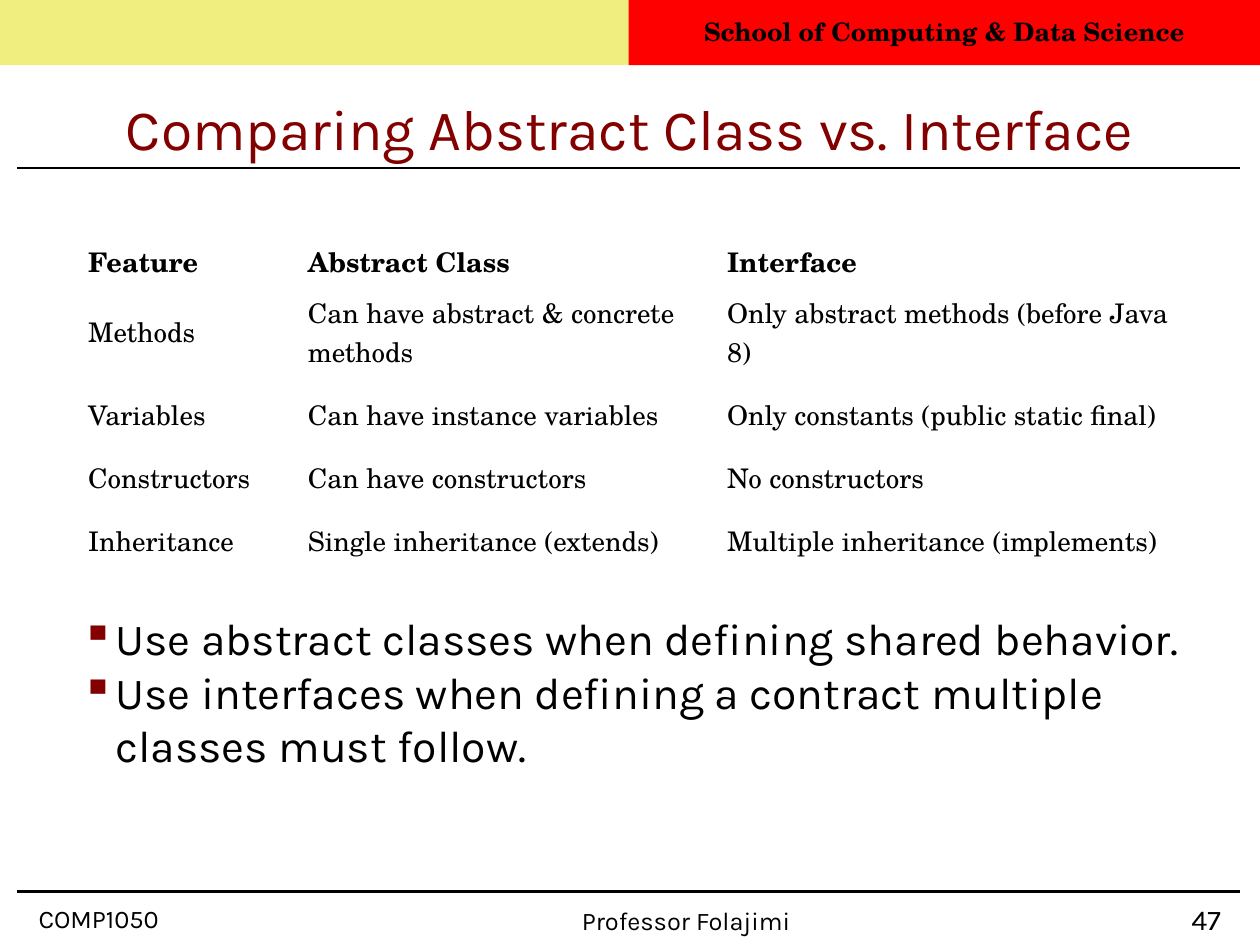
from lxml.etree import SubElement
from pptx import Presentation
from pptx.dml.color import RGBColor
from pptx.enum.shapes import MSO_CONNECTOR, MSO_SHAPE
from pptx.enum.text import MSO_ANCHOR as Anchor, PP_ALIGN as Align
from pptx.oxml.ns import qn
from pptx.util import Cm, Pt

SANS, SERIF = "Karla", "TeX Gyre Schola"
BLACK, MAROON, RED, YELLOW = "000000", "820000", "FF0000", "E3DE00"

FEATURES = [
    ("Feature", "Abstract Class", "Interface"),
    ("Methods", "Can have abstract & concrete methods", "Only abstract methods (before Java 8)"),
    ("Variables", "Can have instance variables", "Only constants (public static final)"),
    ("Constructors", "Can have constructors", "No constructors"),
    ("Inheritance", "Single inheritance (extends)", "Multiple inheritance (implements)"),
]
ADVICE = [
    "Use abstract classes when defining shared behavior.",
    "Use interfaces when defining a contract multiple classes must follow.",
]


def rgb(color):
    return RGBColor.from_string(color)


class Deck:
    def __init__(self, width, height):
        self.prs = Presentation()
        self.prs.slide_width, self.prs.slide_height = Cm(width), Cm(height)
        self.s = self.prs.slides.add_slide(self.prs.slide_layouts[5])

    def add_text(self, p, text, size, font=SANS, color=BLACK, bold=False,
                 align=Align.LEFT, spacing=1.0):
        p.alignment, p.line_spacing = align, spacing
        r = p.add_run()
        r.text = text
        f = r.font
        f.name, f.size, f.bold = font, Pt(size), bold
        f.color.rgb = rgb(color)

    def frame(self, tf, top=0, anchor=Anchor.TOP):
        """Prepare a wrapping text frame with no side insets."""
        tf.word_wrap, tf.vertical_anchor = True, anchor
        tf.margin_left = tf.margin_right = tf.margin_bottom = 0
        tf.margin_top = Cm(top)
        return tf

    def title(self, text, x, y, w, h):
        sp = self.s.shapes.title
        sp.left, sp.top, sp.width, sp.height = Cm(x), Cm(y), Cm(w), Cm(h)
        tf = self.frame(sp.text_frame, anchor=Anchor.MIDDLE)
        self.add_text(tf.paragraphs[0], text, 36, color=MAROON,
                      align=Align.CENTER, spacing=1.17)

    def band(self, x, w, h, color, text="", opacity=100):
        sp = self.s.shapes.add_shape(MSO_SHAPE.RECTANGLE, Cm(x), 0, Cm(w), Cm(h))
        sp.shadow.inherit = False
        sp.line.fill.background()
        sp.fill.solid()
        sp.fill.fore_color.rgb = rgb(color)
        if opacity < 100:
            clr = sp._element.spPr.find(".//" + qn("a:srgbClr"))
            SubElement(clr, qn("a:alpha"), val=str(opacity * 1000))
        if text:
            sp.text_frame.vertical_anchor = Anchor.MIDDLE
            self.add_text(sp.text_frame.paragraphs[0], text, 16, SERIF, bold=True,
                          align=Align.CENTER, spacing=0.98)

    def rule(self, x1, x2, y):
        line = self.s.shapes.add_connector(MSO_CONNECTOR.STRAIGHT, Cm(x1), Cm(y), Cm(x2), Cm(y))
        line.line.color.rgb = rgb(BLACK)
        line.line.width = Pt(1.5)
        SubElement(line._element.spPr, qn("a:effectLst"))

    def footer(self, text, x, y, w, size=16, align=Align.LEFT):
        box = self.s.shapes.add_textbox(Cm(x), Cm(y), Cm(w), Cm(0.71))
        tf = self.frame(box.text_frame, top=0.05)
        self.add_text(tf.paragraphs[0], text, size, align=align, spacing=0.93)

    def table(self, rows, x, y, widths, heights):
        tbl = self.s.shapes.add_table(len(rows), len(widths), Cm(x), Cm(y),
                                      Cm(sum(widths)), Cm(sum(heights))).table
        tbl.first_row = tbl.horz_banding = False
        for col, w in zip(tbl.columns, widths):
            col.width = Cm(w)
        for i, (row, h) in enumerate(zip(rows, heights)):
            tbl.rows[i].height = Cm(h)
            for j, text in enumerate(row):
                cell = tbl.cell(i, j)
                cell.fill.background()
                cell.vertical_anchor = Anchor.MIDDLE
                cell.margin_left = cell.margin_right = Cm(0.23)
                self.add_text(cell.text_frame.paragraphs[0], text, 17, SERIF,
                              bold=i == 0, spacing=0.98)

    def bullets(self, items, x, y, w, h):
        box = self.s.shapes.add_textbox(Cm(x), Cm(y), Cm(w), Cm(h))
        tf = self.frame(box.text_frame)
        for i, text in enumerate(items):
            p = tf.add_paragraph() if i else tf.paragraphs[0]
            self.add_text(p, text, 28)
            pPr = p._p.get_or_add_pPr()
            pPr.set("marL", str(Cm(1.27)))
            pPr.set("indent", str(-Cm(0.76)))
            SubElement(SubElement(pPr, qn("a:buClr")), qn("a:srgbClr"), val=MAROON)
            SubElement(pPr, qn("a:buChar"), char="▪")


def main():
    d = Deck(28, 21)
    d.band(0, 14, 1.45, YELLOW, opacity=50)
    d.band(13.97, 14.03, 1.45, RED, "School of Computing & Data Science")
    for y in (3.73, 19.81):
        d.rule(0.38, 27.56, y)
    d.title("Comparing Abstract Class vs. Interface", 1.3, 1.7, 25.4, 2.03)
    d.table(FEATURES, 1.73, 5.21, (4.88, 9.32, 10.57), (0.94, 1.68, 1.68, 0.94, 1.68))
    d.bullets(ADVICE, 1.3, 13.59, 25.2, 3.4)
    d.footer("COMP1050", 0.86, 20.07, 4.9)
    d.footer("Professor Folajimi", 12.93, 20.12, 4.9)
    d.footer("47", 25.02, 20.07, 2.11, size=18, align=Align.RIGHT)
    d.prs.save("out.pptx")


if __name__ == "__main__":
    main()
